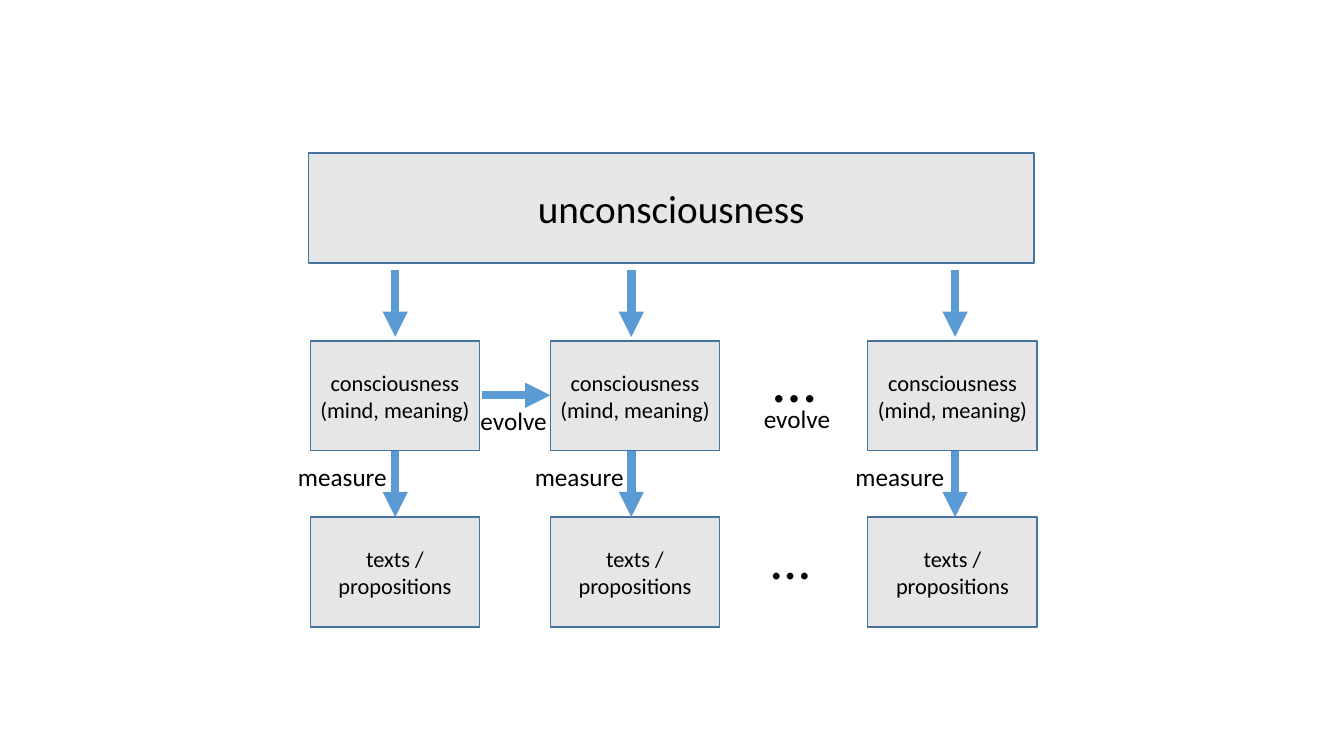
from dataclasses import dataclass

from lxml import etree
from pptx import Presentation
from pptx import util as u
from pptx.dml import color
from pptx.enum import shapes, text
from pptx.oxml import ns

FONT = "Calibri"
BLACK, GREY, OUTLINE, BLUE = "000000", "E7E6E6", "43739E", "5B9BD5"
BOX_WIDTH, BOX_HEIGHT = 4.27, 2.77
MIND_TOP, TEXTS_TOP = 8.59, 13.03
MIND_BOTTOM = MIND_TOP + BOX_HEIGHT


@dataclass
class Box:
    left: float
    top: float
    width: float
    height: float
    words: str
    size: int


@dataclass
class Label(Box):
    wrap: bool = True


@dataclass
class Arrow:
    start_x: float
    start_y: float
    end_x: float
    end_y: float


@dataclass
class Stage:
    left: float
    arrow_x: float
    label_left: float


def rgb(value: str) -> color.RGBColor:
    return color.RGBColor.from_string(value)


def write(frame, words: str, size: int, alignment) -> None:
    frame.text = words
    paragraph = frame.paragraphs[0]
    paragraph.alignment = alignment
    font = paragraph.runs[0].font
    font.name, font.size = FONT, u.Pt(size)
    font.color.rgb = rgb(BLACK)


def draw_box(slide, box: Box) -> None:
    shape = slide.shapes.add_shape(
        shapes.MSO_SHAPE.RECTANGLE,
        u.Cm(box.left), u.Cm(box.top), u.Cm(box.width), u.Cm(box.height))
    shape.shadow.inherit = False
    shape.fill.solid()
    shape.fill.fore_color.rgb = rgb(GREY)
    shape.line.color.rgb = rgb(OUTLINE)
    shape.line.width = u.Pt(1)
    shape.text_frame.word_wrap = True
    shape.text_frame.vertical_anchor = text.MSO_ANCHOR.MIDDLE
    write(shape.text_frame, box.words, box.size, text.PP_ALIGN.CENTER)


def draw_label(slide, label: Label) -> None:
    shape = slide.shapes.add_textbox(
        u.Cm(label.left), u.Cm(label.top), u.Cm(label.width), u.Cm(label.height))
    shape.text_frame.word_wrap = label.wrap
    shape.text_frame.auto_size = text.MSO_AUTO_SIZE.SHAPE_TO_FIT_TEXT
    write(shape.text_frame, label.words, label.size, text.PP_ALIGN.LEFT)


def draw_arrow(slide, arrow: Arrow) -> None:
    connector = slide.shapes.add_connector(
        shapes.MSO_CONNECTOR.STRAIGHT,
        u.Cm(arrow.start_x), u.Cm(arrow.start_y), u.Cm(arrow.end_x), u.Cm(arrow.end_y))
    connector.line.color.rgb = rgb(BLUE)
    connector.line.width = u.Pt(6)
    etree.SubElement(connector.line._get_or_add_ln(), ns.qn("a:tailEnd"), type="triangle")
    etree.SubElement(connector._element.spPr, ns.qn("a:effectLst"))


stages = [
    Stage(7.82, 9.96, 7.26),
    Stage(13.87, 15.91, 13.23),
    Stage(21.87, 24.07, 21.31),
]
boxes = [Box(7.77, 3.86, 18.29, BOX_HEIGHT, "unconsciousness", 28)]
arrows = [Arrow(12.14, 9.96, stages[1].left, 9.96)]
labels = [
    Label(19.25, 8.46, 1.52, 2.13, "…", 44),
    Label(19.2, 13.06, 1.52, 1.96, "…", 40),
    Label(11.86, 10.08, 3.53, 1.02, "evolve", 18),
    Label(19, 10.03, 3.53, 1.02, "evolve", 18),
]
for stage in stages:
    boxes += [
        Box(stage.left, MIND_TOP, BOX_WIDTH, BOX_HEIGHT, "consciousness (mind, meaning)", 16),
        Box(stage.left, TEXTS_TOP, BOX_WIDTH, BOX_HEIGHT, "texts / propositions", 16),
    ]
    arrows += [
        Arrow(stage.arrow_x, 6.8, stage.arrow_x, 8.49),
        Arrow(stage.arrow_x, MIND_BOTTOM, stage.arrow_x, TEXTS_TOP),
    ]
    labels.append(Label(stage.label_left, 11.51, 2.77, 1.02, "measure", 18, wrap=False))

presentation = Presentation()
presentation.slide_width, presentation.slide_height = u.Cm(33.87), u.Cm(19.05)
slide = presentation.slides.add_slide(presentation.slide_layouts[6])
for box in boxes:
    draw_box(slide, box)
for arrow in arrows:
    draw_arrow(slide, arrow)
for label in labels:
    draw_label(slide, label)
presentation.save("out.pptx")
